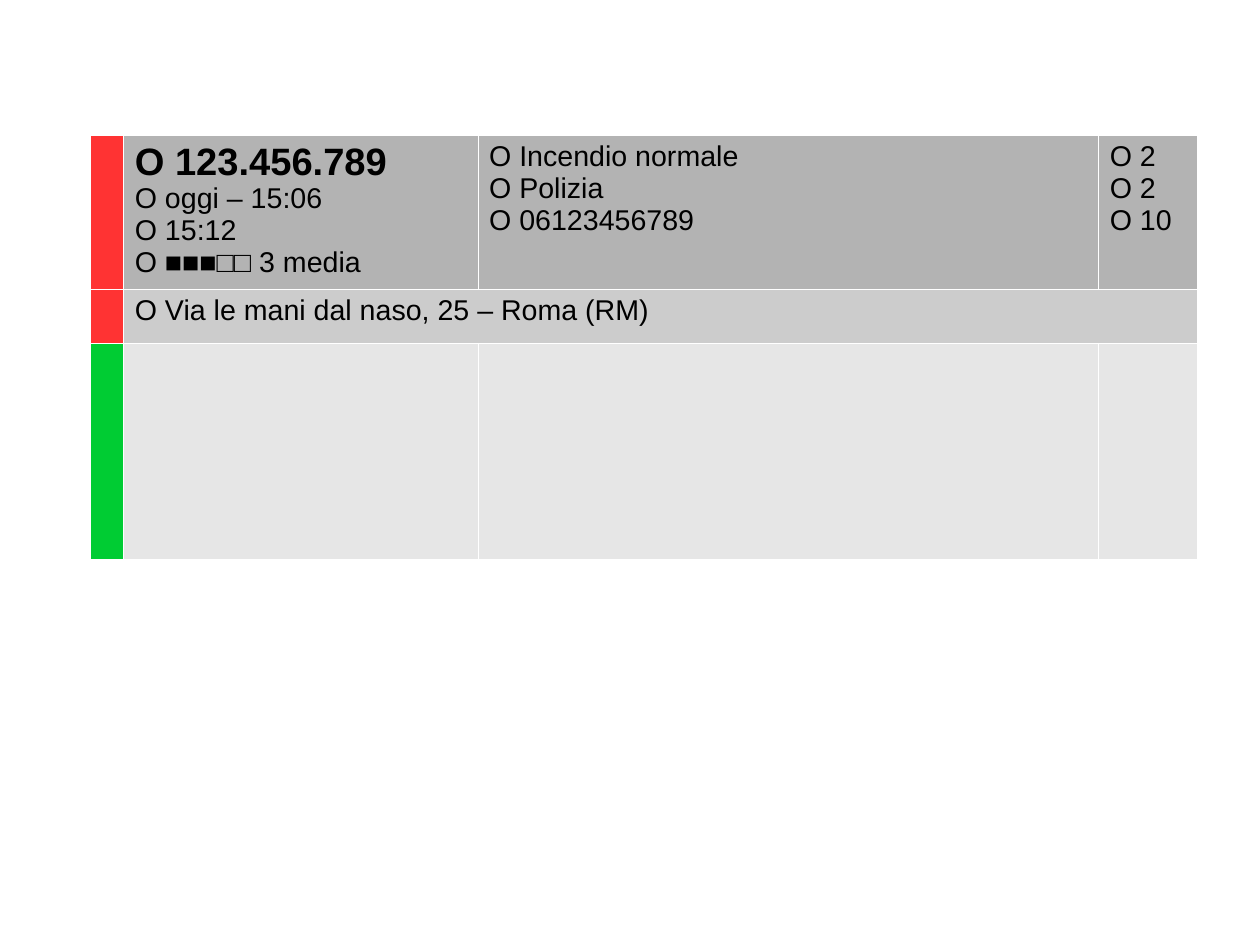
"""Builds a slide with the emergency call card as a colour-coded table."""
from lxml import etree
from pptx import Presentation
from pptx.dml.color import RGBColor
from pptx.oxml.ns import qn
from pptx.util import Cm, Inches, Pt

COLORS = {
    "alert": "FF3333",
    "ready": "00CC33",
    "header": "B3B3B3",
    "address": "CCCCCC",
    "empty": "E6E6E6",
    "border": "FFFFFF",
    "text": "000000",
}
FONT = "Arial"
TITLE_SIZE, BODY_SIZE = 24, 18
BORDER_WIDTH = Pt(0.06)

SLIDE_WIDTH, SLIDE_HEIGHT = Cm(28), Cm(21)
TABLE_ORIGIN = (0.79, 1.18)
COLUMN_WIDTHS = (0.29, 3.1, 5.43, 0.86)
ROW_HEIGHTS = (1.35, 0.47, 1.89)

CALL_NUMBER = "O 123.456.789"
ROWS = [
    {
        "status": "alert",
        "fill": "header",
        "cells": [
            [[CALL_NUMBER, "O oggi – 15:06"], ["O 15:12"], ["O ■■■□□ 3 media"]],
            [["O Incendio normale", "O Polizia"], ["O 06123456789"]],
            [["O 2"], ["O 2"], ["O 10"]],
        ],
    },
    {
        "status": "alert",
        "fill": "address",
        "cells": [[["O Via le mani dal naso, 25 – Roma (RM)"]]],
    },
    {"status": "ready", "fill": "empty", "cells": [[], [], []]},
]


def add_borders(cell):
    properties = cell._tc.get_or_add_tcPr()
    for side in ("a:lnL", "a:lnR", "a:lnT", "a:lnB"):
        line = etree.SubElement(properties, qn(side), w=str(int(BORDER_WIDTH)))
        fill = etree.SubElement(line, qn("a:solidFill"))
        etree.SubElement(fill, qn("a:srgbClr"), val=COLORS["border"])


def style_cell(cell, color):
    add_borders(cell)
    cell.fill.solid()
    cell.fill.fore_color.rgb = RGBColor.from_string(COLORS[color])


def write_line(paragraph, text):
    run = paragraph.add_run()
    run.text = text
    is_title = text == CALL_NUMBER
    run.font.name = FONT
    run.font.size = Pt(TITLE_SIZE if is_title else BODY_SIZE)
    run.font.bold = is_title
    run.font.color.rgb = RGBColor.from_string(COLORS["text"])


def write_paragraphs(cell, paragraphs):
    frame = cell.text_frame
    for index, lines in enumerate(paragraphs):
        paragraph = frame.add_paragraph() if index else frame.paragraphs[0]
        for line_index, text in enumerate(lines):
            if line_index:
                paragraph.add_line_break()
            write_line(paragraph, text)


def add_call_table(slide):
    left, top = TABLE_ORIGIN
    frame = slide.shapes.add_table(
        len(ROW_HEIGHTS), len(COLUMN_WIDTHS), Inches(left), Inches(top),
        Inches(sum(COLUMN_WIDTHS)), Inches(sum(ROW_HEIGHTS)))
    table = frame.table
    table.first_row = False
    table.horz_banding = False
    for column, width in zip(table.columns, COLUMN_WIDTHS):
        column.width = Inches(width)
    for row, height in zip(table.rows, ROW_HEIGHTS):
        row.height = Inches(height)

    last_column = len(COLUMN_WIDTHS) - 1
    for row_index, row in enumerate(ROWS):
        for column_index in range(len(COLUMN_WIDTHS)):
            color = row["fill"] if column_index else row["status"]
            style_cell(table.cell(row_index, column_index), color)
        for column_index, paragraphs in enumerate(row["cells"], start=1):
            write_paragraphs(table.cell(row_index, column_index), paragraphs)
        if len(row["cells"]) == 1:
            table.cell(row_index, 1).merge(table.cell(row_index, last_column))


def main():
    presentation = Presentation()
    presentation.slide_width = SLIDE_WIDTH
    presentation.slide_height = SLIDE_HEIGHT
    slide = presentation.slides.add_slide(presentation.slide_layouts[6])
    add_call_table(slide)
    presentation.save("out.pptx")


if __name__ == "__main__":
    main()
